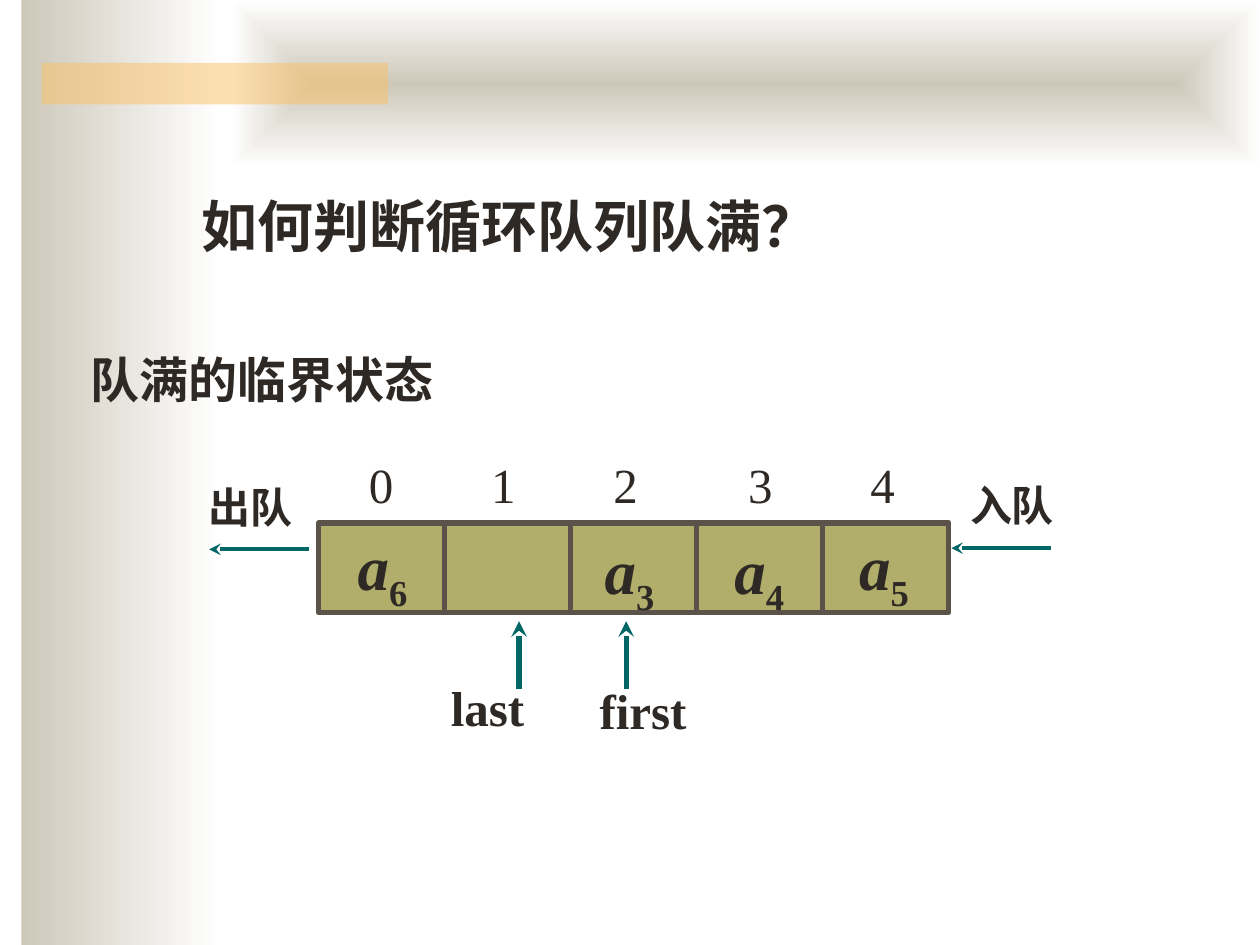
"""Build the slide on how to tell that a circular queue is full."""
from typing import NamedTuple

from lxml.etree import SubElement as Sub
from pptx import Presentation as Deck
from pptx.dml.color import RGBColor as Color
from pptx.enum.shapes import MSO_CONNECTOR as Link, MSO_SHAPE as Form
from pptx.enum.text import MSO_ANCHOR as Anchor, MSO_AUTO_SIZE as Auto, PP_ALIGN as Align
from pptx.oxml.ns import qn
from pptx.util import Inches, Pt

COLS, ROWS = 100, 75
UNIT = Inches(10) // COLS
FONT = "Times New Roman"
INK = Color(0x2E, 0x29, 0x24)
SAND = Color(0xCE, 0xC8, 0xBA)
WHITE = Color(0xFF, 0xFF, 0xFF)
GOLD = Color(0xFA, 0xC1, 0x64)
OLIVE = Color(0xB0, 0xAE, 0x6A)
EDGE = Color(0x5B, 0x52, 0x49)
TEAL = Color(0x00, 0x66, 0x66)


class Box(NamedTuple):
    """A place on the grid, in columns and rows."""
    left: float
    top: float
    wide: float
    high: float


class Note(NamedTuple):
    """A text with its place and size."""
    text: str
    box: Box
    size: int
    bold: bool = True


class Arrow(NamedTuple):
    """A straight arrow, from tail end to tip."""
    start: tuple
    tip: tuple
    weight: float


class Item(NamedTuple):
    """A queue entry with its cell number and its offset in the cell."""
    sub: str
    cell: int
    dx: float
    dy: float


CELL = Box(25.3, 41.5, 10, 7.1)
COUNT = 5
STOPS = (9.7, 19.4, 30.1, 39.8)
TITLE = Note("如何判断循环队列队满？", Box(15, 14.7, 68.9, 6.4), 32)
LEAD = Note("队满的临界状态", Box(6.2, 27.2, 34, 5.7), 28)
INDEX = Note("\t".join(str(n) for n in range(COUNT)), Box(28.3, 35.6, 46.8, 5.7), 28, False)
NOTES = (
    Note("入队", Box(76, 37.6, 10.8, 5), 24),
    Note("出队", Box(15.6, 37.7, 10, 5), 24),
    Note("first", Box(46.6, 53.5, 10.5, 5.7), 28),
    Note("last", Box(34.8, 53.3, 9.7, 5.7), 28),
)
ITEMS = (Item("6", 0, 2.1, -0.1), Item("3", 2, 1.7, 0.2),
         Item("4", 3, 2, 0.2), Item("5", 4, 1.9, -0.1))
ARROWS = (
    Arrow((83.4, 43.5), (75.5, 43.5), 2.25),
    Arrow((24.5, 43.6), (16.6, 43.6), 2.25),
    Arrow((49.7, 54.7), (49.7, 49.3), 3),
    Arrow((41.2, 54.7), (41.2, 49.3), 3),
)


def span(*units: float) -> list:
    """Turn grid units into lengths."""
    return [round(u * UNIT) for u in units]


def rect(page, box: Box):
    """Add a plain rectangle without line or shadow."""
    shape = page.shapes.add_shape(Form.RECTANGLE, *span(*box))
    shape.shadow.inherit = False
    shape.line.fill.background()
    return shape


def fade(page, box: Box, inward: bool) -> None:
    """Add a band that fades from sand to white."""
    shape = rect(page, box)
    shape.fill.gradient()
    shape.fill.gradient_angle = 0
    for stop, tint, spot in zip(shape.fill.gradient_stops, (SAND, WHITE), (0, 1)):
        stop.color.rgb, stop.position = tint, spot
    if inward:
        grad = shape._element.spPr.find(qn("a:gradFill"))
        grad.remove(grad.find(qn("a:lin")))
        path = Sub(grad, qn("a:path"), path="shape")
        Sub(path, qn("a:fillToRect"), dict.fromkeys("ltrb", "50000"))


def strip(page, box: Box) -> None:
    """Add the half-clear gold strip."""
    shape = rect(page, box)
    shape.fill.solid()
    shape.fill.fore_color.rgb = GOLD
    tint = shape._element.spPr.find(qn("a:solidFill"))[0]
    Sub(tint, qn("a:alpha"), val="50000")


def cell(page, num: int) -> None:
    """Add one cell of the queue."""
    shape = rect(page, CELL._replace(left=CELL.left + num * CELL.wide))
    shape.fill.solid()
    shape.fill.fore_color.rgb = OLIVE
    shape.line.color.rgb = EDGE
    shape.line.width = Pt(3)


def setup(frame):
    """Prepare a text frame and return its first paragraph."""
    frame.word_wrap = True
    frame.auto_size = Auto.NONE
    frame.vertical_anchor = Anchor.TOP
    para = frame.paragraphs[0]
    para.alignment = Align.LEFT
    para.space_before = Pt(0)
    return para


def write(para, text: str, size: int, bold: bool = True):
    """Add one run of text."""
    run = para.add_run()
    run.text = text
    font = run.font
    font.name, font.size, font.bold = FONT, Pt(size), bold
    font.color.rgb = INK
    return run


def label(page, note: Note) -> None:
    """Add a text box, with tab stops where the text has tabs."""
    para = setup(page.shapes.add_textbox(*span(*note.box)).text_frame)
    if "\t" in note.text:
        tabs = Sub(para._p.get_or_add_pPr(), qn("a:tabLst"))
        for stop in span(*STOPS):
            Sub(tabs, qn("a:tab"), pos=str(stop), algn="l")
    write(para, note.text, note.size, note.bold)


def entry(page, item: Item) -> None:
    """Add a queue entry with its subscript."""
    left = CELL.left + item.cell * CELL.wide + item.dx
    box = Box(left, CELL.top + item.dy, 6.4, 7)
    para = setup(page.shapes.add_textbox(*span(*box)).text_frame)
    write(para, "a", 36).font.italic = True
    low = write(para, item.sub, 36)
    low.font.italic = False
    low._r.get_or_add_rPr().set("baseline", "-25000")


def point(page, arrow: Arrow) -> None:
    """Add an arrow with a stealth head."""
    link = page.shapes.add_connector(Link.STRAIGHT, *span(*arrow.start, *arrow.tip))
    link.line.color.rgb = TEAL
    link.line.width = Pt(arrow.weight)
    Sub(link.line._get_or_add_ln(), qn("a:tailEnd"), type="stealth")
    Sub(link._element.spPr, qn("a:effectLst"))


def place(page, holder, note: Note) -> None:
    """Move a placeholder above the bands and fill it."""
    page.shapes._spTree.append(holder._element)
    holder.left, holder.top, holder.width, holder.height = span(*note.box)
    para = setup(holder.text_frame)
    props = para._p.get_or_add_pPr()
    props.set("marL", "0")
    props.set("indent", "0")
    Sub(props, qn("a:buNone"))
    write(para, note.text, note.size)


def main() -> None:
    """Draw the slide and save it."""
    deck = Deck()
    deck.slide_width, deck.slide_height = span(COLS, ROWS)
    page = deck.slides.add_slide(deck.slide_layouts[1])
    fade(page, Box(1.7, 0, 15.8, ROWS), False)
    fade(page, Box(18.3, 0, 81.7, 13.3), True)
    strip(page, Box(3.3, 5, 27.5, 3.3))
    place(page, page.shapes.title, TITLE)
    place(page, page.placeholders[1], LEAD)
    for num in range(COUNT):
        cell(page, num)
    for note in (INDEX, *NOTES):
        label(page, note)
    for item in ITEMS:
        entry(page, item)
    for arrow in ARROWS:
        point(page, arrow)
    deck.save("out.pptx")


if __name__ == "__main__":
    main()
